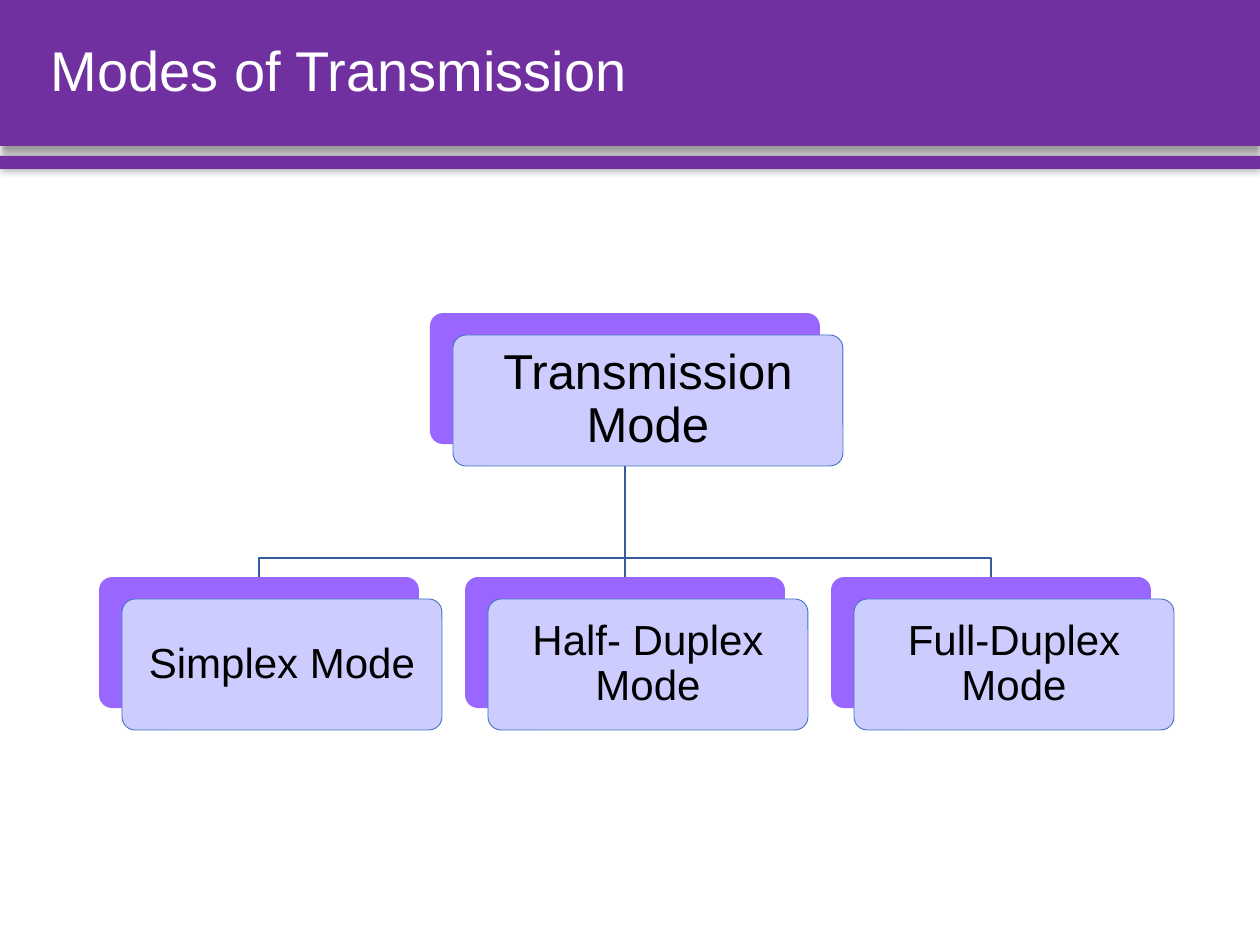
from lxml import etree
from pptx import Presentation
from pptx.dml.color import RGBColor
from pptx.enum.shapes import MSO_CONNECTOR, MSO_SHAPE
from pptx.enum.text import MSO_ANCHOR, MSO_AUTO_SIZE, PP_ALIGN
from pptx.oxml import parse_xml
from pptx.oxml.ns import nsdecls, qn
from pptx.util import Emu, Pt

RECT, ROUNDED = MSO_SHAPE.RECTANGLE, MSO_SHAPE.ROUNDED_RECTANGLE
STRAIGHT = MSO_CONNECTOR.STRAIGHT
LEFT, CENTER = PP_ALIGN.LEFT, PP_ALIGN.CENTER
MIDDLE, NO_FIT = MSO_ANCHOR.MIDDLE, MSO_AUTO_SIZE.NONE
TOP_SIDE, BOTTOM_SIDE = 0, 2

SCALE = 914400 / 126
SLIDE_W, SLIDE_H = 1260, 945
HEADER_H = 146
CARD_H = 131
ROOT_X, ROOT_Y, ROOT_W = 430, 313, 390
MODE_X, MODE_Y, MODE_W, MODE_STEP = 99, 577, 320, 366
FRONT_DX, FRONT_DY = 23, 22
BRANCH_Y = 558

PURPLE, VIOLET, LAVENDER = "7030A0", "9966FF", "CCCCFF"
OUTLINE, LINK, WHITE, BLACK = "4472C4", "365B9D", "FFFFFF", "000000"
MODES = ["Simplex Mode", "Half- Duplex Mode", "Full-Duplex Mode"]


def px(length):
    """Turn pixels into EMU."""
    return Emu(round(length * SCALE))


def color(hex_code):
    """Turn a hex string into a colour."""
    return RGBColor.from_string(hex_code)


def add_block(slide, kind, x, y, w, h, fill):
    """Add a filled shape with neither outline nor shadow."""
    block = slide.shapes.add_shape(kind, px(x), px(y), px(w), px(h))
    block.shadow.inherit = False
    block.fill.solid()
    block.fill.fore_color.rgb = color(fill)
    block.line.fill.background()
    return block


def add_bar(slide, y, h, blur, distance):
    """Add a full-width header bar that casts a soft shadow."""
    bar = add_block(slide, RECT, 0, y, SLIDE_W, h, PURPLE)
    effects = bar.element.spPr.find(qn("a:effectLst"))
    effects.append(parse_xml(
        f'<a:outerShdw {nsdecls("a")} blurRad="{Pt(blur)}" dist="{Pt(distance)}" '
        'dir="5400000" algn="t" rotWithShape="0"><a:srgbClr val="000000">'
        '<a:alpha val="40000"/></a:srgbClr></a:outerShdw>'))


def write_text(shape, text, size, text_color, align):
    """Write one vertically centred paragraph into a shape."""
    frame = shape.text_frame
    frame.word_wrap = True
    frame.auto_size = NO_FIT
    frame.vertical_anchor = MIDDLE
    frame.text = text
    paragraph = frame.paragraphs[0]
    paragraph.alignment = align
    paragraph.line_spacing = 0.9
    paragraph.font.name = "Arial"
    paragraph.font.size = Pt(size)
    paragraph.font.color.rgb = color(text_color)


def add_title(slide, text):
    """Place the title over the header bar."""
    title = slide.shapes.title
    title.left, title.top = px(38), px(0)
    title.width, title.height = px(1192), px(HEADER_H)
    write_text(title, text, 32, WHITE, LEFT)
    slide.shapes.element.append(title.element)


def style_link(link):
    """Give a link its line."""
    link.line.color.rgb = color(LINK)
    link.line.width = Pt(1)


def add_branch(slide, x_from, x_to):
    """Add an angled link from the root down to a mode."""
    builder = slide.shapes.build_freeform(x_from, ROOT_Y + CARD_H, scale=SCALE)
    builder.add_line_segments(
        [(x_from, BRANCH_Y), (x_to, BRANCH_Y), (x_to, MODE_Y)], close=False)
    branch = builder.convert_to_shape()
    branch.shadow.inherit = False
    branch.fill.background()
    style_link(branch)


def add_trunk(slide, x):
    """Add the straight link from the root to the mode below it."""
    trunk = slide.shapes.add_connector(
        STRAIGHT, px(x), px(ROOT_Y + CARD_H), px(x), px(MODE_Y))
    style_link(trunk)
    etree.SubElement(trunk.element.spPr, qn("a:effectLst"))
    return trunk


def add_card(slide, x, y, w, text, size):
    """Add a labelled card in front of its offset backing, and return the backing."""
    backing = add_block(slide, ROUNDED, x, y, w, CARD_H, VIOLET)
    front = add_block(slide, ROUNDED, x + FRONT_DX, y + FRONT_DY, w, CARD_H, LAVENDER)
    front.line.color.rgb = color(OUTLINE)
    front.line.width = Pt(0.5)
    for card in (backing, front):
        card.adjustments[0] = 0.1
    frame = front.text_frame
    frame.margin_left = frame.margin_right = px(16)
    frame.margin_top = frame.margin_bottom = px(16)
    write_text(front, text, size, BLACK, CENTER)
    return backing


def main():
    """Build the slide and save it."""
    deck = Presentation()
    deck.slide_width, deck.slide_height = px(SLIDE_W), px(SLIDE_H)
    slide = deck.slides.add_slide(deck.slide_layouts[5])

    add_bar(slide, 0, HEADER_H, 4, 3)
    add_bar(slide, 156, 13, 5, 0)
    add_title(slide, "Modes of Transmission")

    root_center = ROOT_X + ROOT_W / 2
    mode_lefts = [MODE_X + i * MODE_STEP for i in range(len(MODES))]
    for outer_left in (mode_lefts[-1], mode_lefts[0]):
        add_branch(slide, root_center, outer_left + MODE_W / 2)
    trunk = add_trunk(slide, root_center)

    root = add_card(slide, ROOT_X, ROOT_Y, ROOT_W, "Transmission Mode", 28)
    modes = [add_card(slide, left, MODE_Y, MODE_W, mode, 24)
             for left, mode in zip(mode_lefts, MODES)]
    trunk.begin_connect(root, BOTTOM_SIDE)
    trunk.end_connect(modes[1], TOP_SIDE)

    deck.save("out.pptx")


if __name__ == "__main__":
    main()
